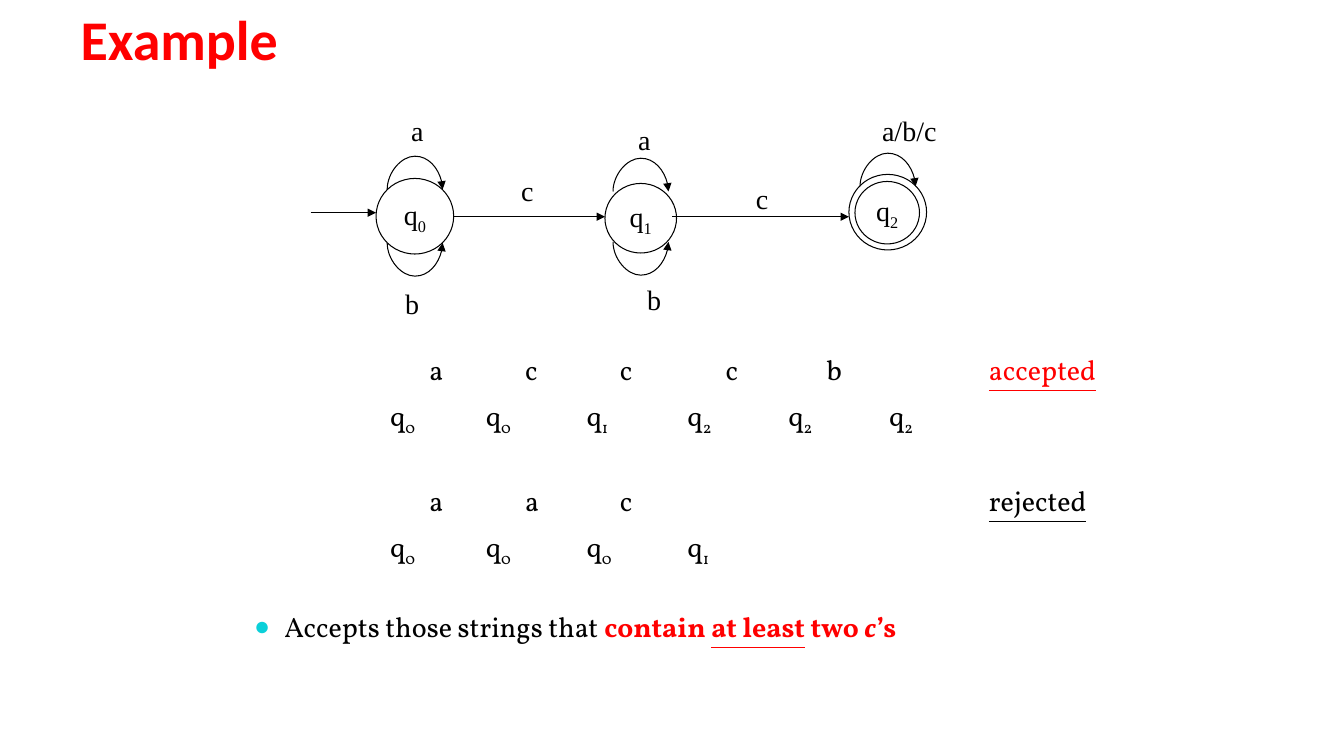
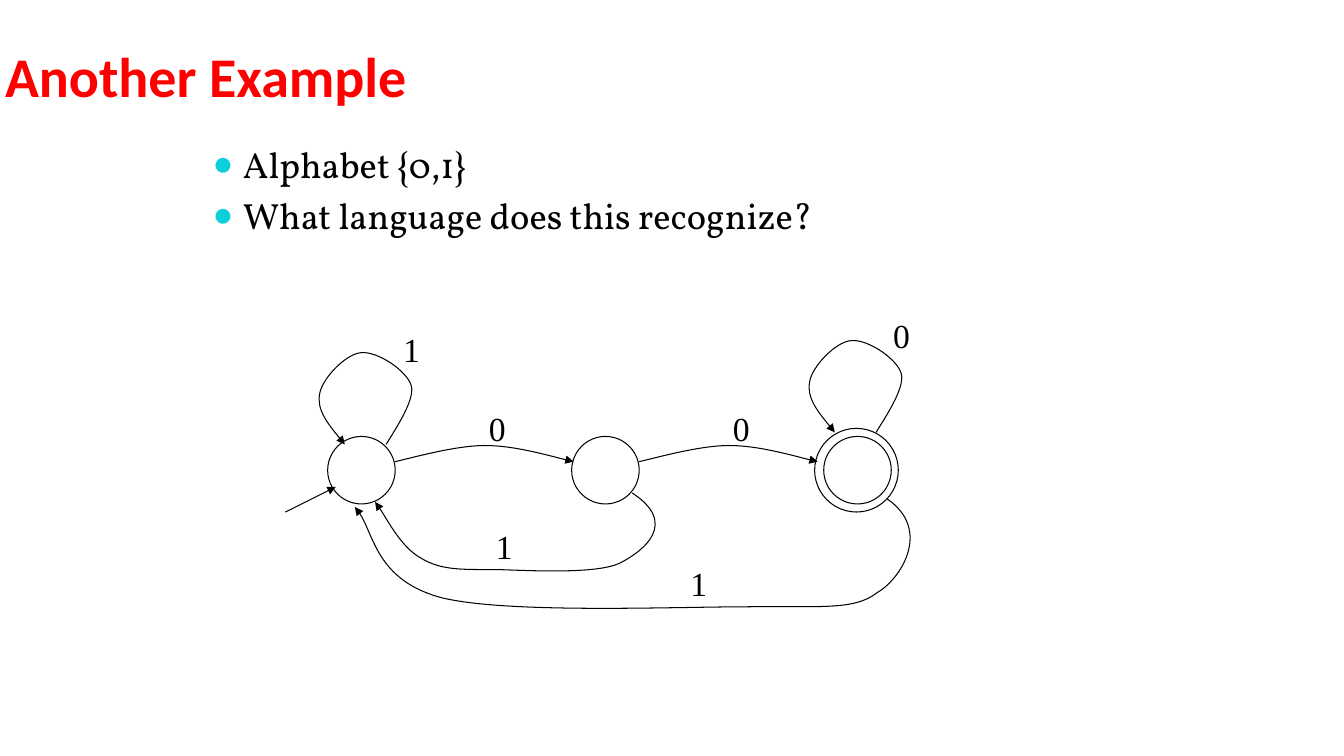
import dataclasses

import pptx
import pptx.dml.color
import pptx.enum.shapes
import pptx.enum.text
import pptx.oxml
import pptx.oxml.ns
import pptx.util

Inches = pptx.util.Inches
Pt = pptx.util.Pt


@dataclasses.dataclass(frozen=True)
class Theme:
    title_color: str = "FF0000"
    ink: str = "000000"
    bullet: str = "0BD0D9"
    title_font: str = "Calibri"
    body_font: str = "Vollkorn"
    diagram_font: str = "Times New Roman"
    title_size: int = 40
    line_width: float = 0.75
    bullet_percent: int = 95


theme = Theme()
SUBSCRIPT = {"baseline": -25000}
RED = {"color": theme.title_color}


def write(para, text, size=20, font=theme.body_font, color=theme.ink,
          bold=False, italic=False, underline=False, baseline=0):
    """Append one formatted span to a paragraph."""
    span = para.add_run()
    span.text = text
    span.font.size = Pt(size)
    span.font.name = font
    span.font.color.rgb = pptx.dml.color.RGBColor.from_string(color)
    span.font.bold = bold
    span.font.italic = italic
    span.font.underline = underline
    if baseline:
        span._r.get_or_add_rPr().set("baseline", str(baseline))


def add_xml(parent, tag, **attributes):
    """Append a drawing element and return it."""
    element = pptx.oxml.parse_xml(f"<a:{tag} {pptx.oxml.ns.nsdecls('a')}/>")
    for name, value in attributes.items():
        element.set(name, str(value))
    parent.append(element)
    return element


# Slide 1: traces of two input words, as tabbed rows
letter_tabs = [1.74, 2.69, 3.63, 4.68, 5.68]
state_tabs = [1.35, 2.3, 3.3, 4.3, 5.3, 6.3]
verdict_tab = 7.29
traces = [
    ("acccb", "001222", "accepted", RED, 0),
    ("aac", "0001", "rejected", {}, 33.5),
]
trace_rows = []
for letters, states, verdict, verdict_format, space in traces:
    letter_spans = [("".join("\t" + letter for letter in letters) + "\t", {}),
                    (verdict, {"underline": True, **verdict_format})]
    trace_rows.append((letter_spans, letter_tabs[:len(letters)] + [verdict_tab], space))
    state_spans = []
    for state in states:
        state_spans += [("\tq", {}), (state, SUBSCRIPT)]
    trace_rows.append((state_spans, state_tabs[:len(states)], 8.7))
strong = {**RED, "bold": True}
conclusion = [
    ("Accepts those strings that ", {}),
    ("contain ", strong),
    ("at least", {**strong, "underline": True}),
    (" two ", strong),
    ("c", {**strong, "italic": True}),
    ("’s", strong),
]

# Slide 1: self loops as left, base, depth (negative goes up)
loop_width = 0.55
self_loops = []
for left, base, depth in [(3.84, 1.88, -0.33), (3.84, 2.41, 0.33), (6.08, 1.9, -0.33),
                          (6.08, 2.4, 0.33), (8.53, 1.85, -0.33)]:
    self_loops.append([
        (left + loop_width * across, base + depth * down)
        for across, down in [(0, 0), (0, 0.5), (0.25, 1), (0.5, 1), (0.75, 1), (1, 0.5), (1, 0)]
    ])

# Slide 2: curves as a start point followed by Bezier triples
hop = [(3.92, 4.58), (4.06, 4.55), (4.51, 4.42), (4.81, 4.42),
       (5.1, 4.42), (5.51, 4.54), (5.69, 4.58)]
ring = [(3.83, 4.41), (3.88, 4.32), (4.12, 3.98), (4.08, 3.83), (4.04, 3.68),
        (3.74, 3.48), (3.58, 3.5), (3.43, 3.51), (3.19, 3.76), (3.17, 3.91),
        (3.14, 4.07), (3.28, 4.24), (3.42, 4.41)]
short_return = [(6.27, 4.89), (6.73, 5.19), (6.39, 5.46), (6.16, 5.58), (5.94, 5.7),
                (5.25, 5.66), (4.92, 5.65), (4.59, 5.65), (4.38, 5.66), (4.18, 5.54),
                (3.98, 5.43), (3.81, 5.09), (3.72, 4.98)]
long_return = [(8.8, 4.95), (9.25, 5.26), (8.93, 5.75), (8.7, 5.88), (8.47, 6.06),
               (8.13, 6.01), (7.41, 6.02), (6.69, 6.02), (5.03, 6.09), (4.38, 5.93),
               (3.74, 5.76), (3.7, 5.22), (3.52, 5.03)]

pages = [
    {
        "title": "Example",
        "title_at": (0.8, 0.03),
        "body_at": (2.42, 6, 9.14, 0.6),
        "body_size": 20,
        "bullets": [conclusion],
        "rows": trace_rows,
        "label_size": 20,
        "states": [(3.73, 1.77, 0.77, 0.75, "0"), (6, 1.82, 0.71, 0.69, "1"),
                   (8.48, 1.8, 0.64, 0.62, "2"), (8.42, 1.73, 0.77, 0.75, "")],
        "arrows": [(3.08, 2.11, 3.73, 2.11), (4.5, 2.15, 6, 2.15), (6.67, 2.15, 8.42, 2.15)],
        "curves": self_loops,
        "labels": [("a", 3.98, 1.08), ("b", 3.92, 2.79), ("a", 6.23, 1.17), ("b", 6.32, 2.75),
                   ("c", 5.07, 1.67), ("c", 7.4, 1.75), ("a/b/c", 8.65, 1.08)],
    },
    {
        "title": "Another Example",
        "title_at": (0.05, 0.4),
        "body_at": (2.01, 1.36, 9.08, 1),
        "body_size": 26,
        "bullets": [[("Alphabet {0,1}", {})], [("What language does this recognize?", {})]],
        "rows": [],
        "label_size": 24,
        "states": [(3.25, 4.33, 0.67, 0.67, ""), (5.67, 4.33, 0.67, 0.67, ""),
                   (8.17, 4.33, 0.67, 0.67, ""), (8.08, 4.25, 0.83, 0.83, "")],
        "arrows": [(2.83, 5.08, 3.33, 4.83)],
        "curves": [hop, [(x + 2.42, y) for x, y in hop],
                   ring, [(x + 4.86, y - 0.12) for x, y in ring],
                   short_return, long_return],
        "labels": [("0", 4.75, 4), ("0", 7.17, 4), ("1", 3.9, 3.21), ("0", 8.76, 3.08),
                   ("1", 4.82, 5.17), ("1", 6.75, 5.54)],
    },
]

deck = pptx.Presentation()
deck.slide_width = Inches(13.33)
deck.slide_height = Inches(7.5)

for content in pages:
    page = deck.slides.add_slide(deck.slide_layouts[1])
    shapes = page.shapes

    # Title
    title = shapes.title
    title.left, title.top = (Inches(value) for value in content["title_at"])
    title.width, title.height = Inches(12), Inches(0.68)
    frame = title.text_frame
    frame.auto_size = pptx.enum.text.MSO_AUTO_SIZE.NONE
    frame.vertical_anchor = pptx.enum.text.MSO_ANCHOR.BOTTOM
    frame.margin_left = frame.margin_right = frame.margin_top = frame.margin_bottom = 0
    para = frame.paragraphs[0]
    para.alignment = pptx.enum.text.PP_ALIGN.LEFT
    write(para, content["title"], size=theme.title_size, font=theme.title_font,
          color=theme.title_color, bold=True)

    # Bullets
    body = page.placeholders[1]
    body.left, body.top, body.width, body.height = (
        Inches(value) for value in content["body_at"])
    frame = body.text_frame
    frame.auto_size = pptx.enum.text.MSO_AUTO_SIZE.NONE
    for number, spans in enumerate(content["bullets"]):
        para = frame.add_paragraph() if number else frame.paragraphs[0]
        properties = para._p.get_or_add_pPr()
        properties.set("marL", str(Inches(0.3)))
        properties.set("indent", str(Inches(-0.3)))
        add_xml(add_xml(properties, "buClr"), "srgbClr", val=theme.bullet)
        add_xml(properties, "buSzPct", val=theme.bullet_percent * 1000)
        add_xml(properties, "buChar", char="●")
        para.space_before = Pt(5 if number else 0)
        for text, text_format in spans:
            write(para, text, size=content["body_size"], **text_format)

    # Trace rows
    if content["rows"]:
        box = shapes.add_textbox(Inches(2.42), Inches(3.45), Inches(9.14), Inches(2.3))
        frame = box.text_frame
        frame.word_wrap = True
        for number, (spans, tabs, space) in enumerate(content["rows"]):
            para = frame.add_paragraph() if number else frame.paragraphs[0]
            tab_list = add_xml(para._p.get_or_add_pPr(), "tabLst")
            for position in tabs:
                add_xml(tab_list, "tab", pos=Inches(position), algn="l")
            para.space_before = Pt(space)
            for text, text_format in spans:
                write(para, text, **text_format)

    # States
    outlines = []
    for left, top, width, height, index in content["states"]:
        state = shapes.add_shape(pptx.enum.shapes.MSO_SHAPE.OVAL, Inches(left), Inches(top),
                                 Inches(width), Inches(height))
        outlines.append(state)
        if index:
            frame = state.text_frame
            frame.word_wrap = False
            frame.vertical_anchor = pptx.enum.text.MSO_ANCHOR.MIDDLE
            para = frame.paragraphs[0]
            para.alignment = pptx.enum.text.PP_ALIGN.CENTER
            write(para, "q", font=theme.diagram_font)
            write(para, index, font=theme.diagram_font, **SUBSCRIPT)

    # Curved transitions: every three segments become one Bezier curve
    transitions = []
    for points in content["curves"]:
        corners = [(Inches(x), Inches(y)) for x, y in points]
        builder = shapes.build_freeform(*corners[0])
        builder.add_line_segments(corners[1:], close=False)
        curve = builder.convert_to_shape()
        segments = curve._element.xpath(".//a:lnTo")
        outline_path = segments[0].getparent()
        for first in range(0, len(segments), 3):
            bezier = add_xml(outline_path, "cubicBezTo")
            for segment in segments[first:first + 3]:
                bezier.append(segment[0])
                outline_path.remove(segment)
        outlines.append(curve)
        transitions.append(curve)

    # Straight transitions
    arrows = []
    for ends in content["arrows"]:
        arrow = shapes.add_connector(pptx.enum.shapes.MSO_CONNECTOR.STRAIGHT,
                                     *(Inches(value) for value in ends))
        add_xml(arrow._element.spPr, "effectLst")
        arrows.append(arrow)

    # Line style and arrowheads
    for outline in outlines:
        outline.shadow.inherit = False
        outline.fill.background()
    for line_shape in outlines + arrows:
        line_shape.line.color.rgb = pptx.dml.color.RGBColor.from_string(theme.ink)
        line_shape.line.width = Pt(theme.line_width)
    for transition in transitions + arrows:
        add_xml(transition.line._get_or_add_ln(), "tailEnd", type="triangle")

    # Transition labels
    for text, left, top in content["labels"]:
        box = shapes.add_textbox(Inches(left), Inches(top),
                                 Inches(0.2 + 0.13 * len(text)), Inches(0.43))
        box.text_frame.word_wrap = False
        write(box.text_frame.paragraphs[0], text, size=content["label_size"],
              font=theme.diagram_font)

deck.save("out.pptx")
